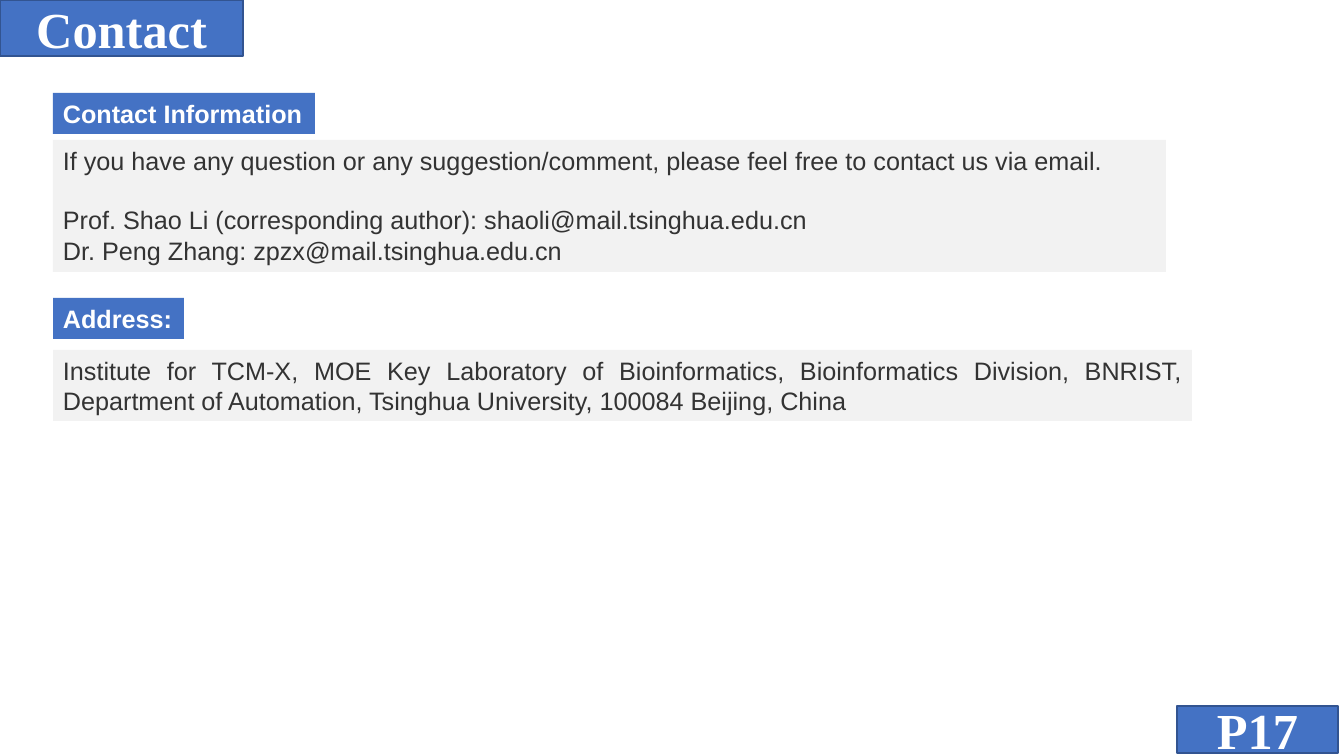
from pptx import Presentation
from pptx.dml.color import RGBColor as RGB
from pptx.enum.shapes import MSO_SHAPE as Shape
from pptx.enum.text import MSO_ANCHOR as Anchor, MSO_AUTO_SIZE as Fit, PP_ALIGN as Align
from pptx.util import Pt

PX = 9144000 / 1008
COLORS = {"blue": "4472C4", "edge": "325491", "gray": "F2F2F2",
          "ink": "333333", "white": "FFFFFF"}
LEFT = 53
BLANK = 6


def px(n):
    return round(n * PX)


def color(name):
    return RGB.from_string(COLORS[name])


def rect(slide, box, fill):
    shape = slide.shapes.add_shape(Shape.RECTANGLE, *map(px, box))
    shape.shadow.inherit = False
    shape.fill.solid()
    shape.fill.fore_color.rgb = color(fill)
    shape.line.fill.background()
    return shape


def write(para, text, face, size, ink, align, bold=False):
    para.text = text
    para.alignment = align
    font = para.font
    font.name, font.size, font.bold = face, Pt(size), bold
    font.color.rgb = color(ink)


def banner(slide, box, text):
    """Add an outlined corner box with large serif text."""
    shape = rect(slide, box, "blue")
    shape.line.color.rgb = color("edge")
    shape.line.width = Pt(1)
    frame = shape.text_frame
    frame.vertical_anchor = Anchor.MIDDLE
    write(frame.paragraphs[0], text, "Times New Roman", 36, "white", Align.CENTER, True)


def label(slide, top, width, text):
    frame = rect(slide, (LEFT, top, width, 41), "blue").text_frame
    frame.vertical_anchor = Anchor.TOP
    frame.word_wrap = False
    frame.auto_size = Fit.SHAPE_TO_FIT_TEXT
    write(frame.paragraphs[0], text, "Arial", 18, "white", Align.LEFT, True)


def panel(slide, top, width, height, blocks):
    """Add a gray text box, with one line of space between blocks of lines."""
    frame = rect(slide, (LEFT, top, width, height), "gray").text_frame
    frame.vertical_anchor = Anchor.TOP
    frame.word_wrap = True
    frame.auto_size = Fit.SHAPE_TO_FIT_TEXT
    para = frame.paragraphs[0]
    for b, lines in enumerate(blocks):
        for n, text in enumerate(lines):
            if b or n:
                para = frame.add_paragraph()
            write(para, text, "Arial", 18, "ink", Align.JUSTIFY)
            if b and not n:
                para.space_before = Pt(21)


def main():
    deck = Presentation()
    deck.slide_width, deck.slide_height = px(1344), px(756)
    slide = deck.slides.add_slide(deck.slide_layouts[BLANK])

    banner(slide, (0, 0, 243, 56), "Contact")
    banner(slide, (1177, 706, 161, 47), "P17")

    label(slide, 93, 262, "Contact Information")
    panel(slide, 140, 1113, 132, [
        ["If you have any question or any suggestion/comment, "
         "please feel free to contact us via email."],
        ["Prof. Shao Li (corresponding author): shaoli@mail.tsinghua.edu.cn",
         "Dr. Peng Zhang: zpzx@mail.tsinghua.edu.cn"],
    ])

    label(slide, 298, 131, "Address:")
    panel(slide, 350, 1139, 71, [
        ["Institute for TCM-X, MOE Key Laboratory of Bioinformatics, "
         "Bioinformatics Division, BNRIST, Department of Automation, "
         "Tsinghua University, 100084 Beijing, China"],
    ])
    deck.save("out.pptx")


if __name__ == "__main__":
    main()
